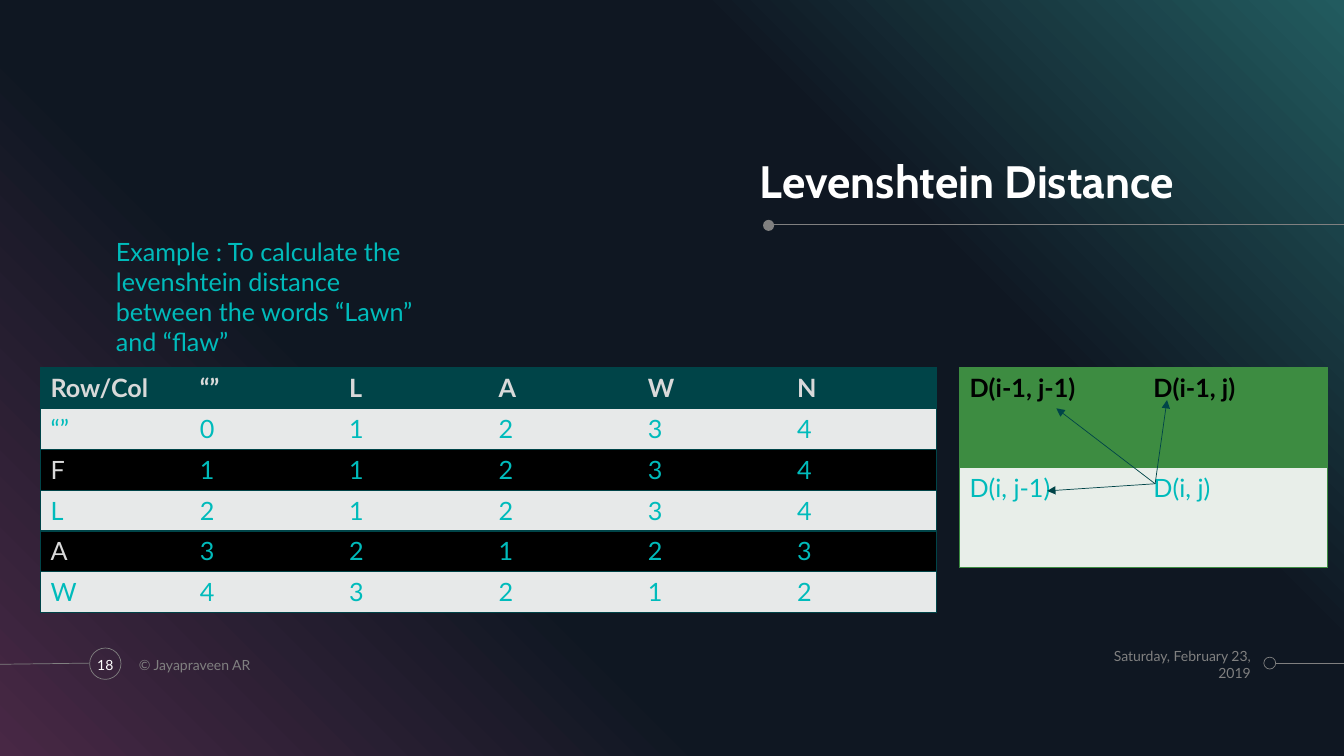
"""Builds a slide that explains the Levenshtein distance with a worked table."""
from lxml.etree import SubElement
from pptx import Presentation
from pptx.dml.color import RGBColor
from pptx.enum.shapes import MSO_CONNECTOR, MSO_SHAPE
from pptx.enum.text import MSO_ANCHOR, MSO_AUTO_SIZE, PP_ALIGN
from pptx.oxml.ns import qn
from pptx.util import Cm, Pt

BLACK = RGBColor(0x00, 0x00, 0x00)
WHITE = RGBColor(0xFF, 0xFF, 0xFF)
GREY = RGBColor(0x80, 0x80, 0x80)
LIGHT_GREY = RGBColor(0xD9, 0xD9, 0xD9)
PALE_GREY = RGBColor(0xE7, 0xE9, 0xE9)
PALE_GREEN = RGBColor(0xE8, 0xEE, 0xE9)
GREEN = RGBColor(0x3D, 0x8C, 0x41)
PETROL = RGBColor(0x00, 0x44, 0x48)
CYAN = RGBColor(0x00, 0xBB, 0xBB)
PURPLE = RGBColor(0x48, 0x28, 0x45)
NIGHT = RGBColor(0x0F, 0x17, 0x22)
TEAL = RGBColor(0x22, 0x5B, 0x5F)

BACKDROP_STOPS = [(0, PURPLE), (34, NIGHT), (69, NIGHT), (100, TEAL)]
PLAIN_TABLE_STYLE = "{2D5ABB26-0587-4C30-8999-92F81FD0307C}"
DISTANCES = [
    ["Row/Col", "“”", "L", "A", "W", "N"],
    ["“”", "0", "1", "2", "3", "4"],
    ["F", "1", "1", "2", "3", "4"],
    ["L", "2", "1", "2", "3", "4"],
    ["A", "3", "2", "1", "2", "3"],
    ["W", "4", "3", "2", "1", "2"],
]
NEIGHBOURS = [["D(i-1, j-1)", "D(i-1, j)"], ["D(i, j-1)", "D(i, j)"]]


def add_colour(parent, colour):
    """Append an RGB colour element to parent."""
    SubElement(parent, qn("a:srgbClr"), val=str(colour))


def write(paragraph, text, size, colour, bold=False, font="Lato"):
    """Add one formatted run to a paragraph."""
    run = paragraph.add_run()
    run.text = text
    run.font.name = font
    run.font.size = Pt(size)
    run.font.bold = bold
    run.font.color.rgb = colour


def clear_margins(frame):
    """Remove all insets of a text frame."""
    frame.margin_left = frame.margin_right = 0
    frame.margin_top = frame.margin_bottom = 0


def add_backdrop(slide, width, height):
    """Lay the diagonal gradient behind everything else."""
    slide.background.fill.solid()
    slide.background.fill.fore_color.rgb = BLACK
    backdrop = slide.shapes.add_shape(MSO_SHAPE.RECTANGLE, 0, 0, width, height)
    backdrop.shadow.inherit = False
    backdrop.line.fill.background()
    backdrop.fill.gradient()
    backdrop.fill.gradient_angle = 45
    stops = backdrop._element.spPr.find(qn("a:gradFill")).find(qn("a:gsLst"))
    for stop in list(stops):
        stops.remove(stop)
    for position, colour in BACKDROP_STOPS:
        add_colour(SubElement(stops, qn("a:gs"), pos=str(position * 1000)), colour)
    slide.shapes._spTree.insert(2, backdrop._element)


def add_title(slide, text):
    """Place and format the title placeholder."""
    title = slide.shapes.title
    title.left, title.top = Cm(19.15), Cm(3.02)
    title.width, title.height = Cm(12.47), Cm(2.24)
    frame = title.text_frame
    clear_margins(frame)
    frame.word_wrap = True
    frame.auto_size = MSO_AUTO_SIZE.NONE
    frame.vertical_anchor = MSO_ANCHOR.BOTTOM
    heading = frame.paragraphs[0]
    heading.alignment = PP_ALIGN.LEFT
    heading.line_spacing = 0.9
    write(heading, text, 32.4, WHITE, True, "Cabin")


def add_line(slide, start, end, colour=GREY, arrow=False):
    """Draw a thin straight line, with an arrowhead at its end on request."""
    line = slide.shapes.add_connector(
        MSO_CONNECTOR.STRAIGHT, Cm(start[0]), Cm(start[1]), Cm(end[0]), Cm(end[1]))
    line.line.color.rgb = colour
    line.line.width = Pt(0.5)
    if arrow:
        SubElement(line.line._get_or_add_ln(), qn("a:tailEnd"), type="triangle")
    SubElement(line._element.spPr, qn("a:effectLst"))


def add_circle(slide, left, top, diameter, filled=False):
    """Draw a grey dot or ring."""
    circle = slide.shapes.add_shape(
        MSO_SHAPE.OVAL, Cm(left), Cm(top), Cm(diameter), Cm(diameter))
    circle.shadow.inherit = False
    if filled:
        circle.fill.solid()
        circle.fill.fore_color.rgb = GREY
        circle.line.fill.background()
    else:
        circle.fill.background()
        circle.line.color.rgb = GREY
        circle.line.width = Pt(0.5)


def add_text(slide, place, text, size, colour, align=PP_ALIGN.LEFT):
    """Add a wrapped text box and return its frame."""
    frame = slide.shapes.add_textbox(*map(Cm, place)).text_frame
    frame.word_wrap = True
    frame.paragraphs[0].alignment = align
    write(frame.paragraphs[0], text, size, colour)
    return frame


def add_footer_text(slide, left, width, text, colour, align):
    """Add a footer text centred on the footer line."""
    frame = add_text(slide, (left, 16.33, width, 0.84), text, 10, colour, align)
    frame.vertical_anchor = MSO_ANCHOR.MIDDLE
    return frame


def set_borders(cell, sides, colour):
    """Draw one point borders on the given sides of a cell."""
    properties = cell._tc.get_or_add_tcPr()
    for side in sides:
        border = SubElement(properties, qn(f"a:ln{side}"), w=str(Pt(1)))
        add_colour(SubElement(border, qn("a:solidFill")), colour)


def add_grid(slide, place, rows, border, style):
    """Add a table; style(row, column) gives fill and text colour."""
    columns = len(rows[0])
    table = slide.shapes.add_table(len(rows), columns, *map(Cm, place)).table
    table._tbl.tblPr.find(qn("a:tableStyleId")).text = PLAIN_TABLE_STYLE
    for r, row in enumerate(rows):
        for c, text in enumerate(row):
            cell = table.cell(r, c)
            sides = ["L"] * (c == 0) + ["R"] * (c == columns - 1) + ["T", "B"]
            set_borders(cell, sides, border)
            fill, colour = style(r, c)
            cell.fill.solid()
            cell.fill.fore_color.rgb = fill
            write(cell.text_frame.paragraphs[0], text, 18, colour, r == 0)


def distance_style(row, column):
    """Give fill and text colour of a cell in the distance table."""
    if row == 0:
        return PETROL, LIGHT_GREY
    if row % 2:
        return PALE_GREY, CYAN
    return BLACK, CYAN if column else LIGHT_GREY


def neighbour_style(row, column):
    """Give fill and text colour of a cell in the neighbour table."""
    return (PALE_GREEN, CYAN) if row else (GREEN, BLACK)


def add_footer(slide):
    """Add the footer lines, rings and texts."""
    add_line(slide, (32.16, 16.71), (33.87, 16.71))
    add_circle(slide, 31.85, 16.56, 0.3)
    add_line(slide, (0, 16.74), (2.24, 16.71))
    add_circle(slide, 2.26, 16.33, 0.79)
    date = add_footer_text(
        slide, 27.81, 3.71, "Saturday, February 23, 2019", GREY, PP_ALIGN.RIGHT)
    clear_margins(date)
    add_footer_text(slide, 3.25, 8.1, "© Jayapraveen AR", GREY, PP_ALIGN.LEFT)
    add_footer_text(slide, 2.16, 0.99, "18", WHITE, PP_ALIGN.CENTER)


def main():
    """Build and save the slide."""
    deck = Presentation()
    deck.slide_width, deck.slide_height = Cm(33.87), Cm(19.05)
    slide = deck.slides.add_slide(deck.slide_layouts[5])
    add_backdrop(slide, deck.slide_width, deck.slide_height)
    add_line(slide, (33.87, 5.66), (19.46, 5.66))
    add_circle(slide, 19.23, 5.54, 0.28, filled=True)
    add_footer(slide)
    add_title(slide, "Levenshtein Distance")
    add_grid(slide, (24.18, 9.27, 9.27, 5.03), NEIGHBOURS, GREEN, neighbour_style)
    example = add_text(
        slide, (2.67, 5.82, 8.69, 2.57),
        "Example : To calculate the levenshtein distance between the words “Lawn” and “flaw”",
        18, CYAN)
    example.auto_size = MSO_AUTO_SIZE.SHAPE_TO_FIT_TEXT
    add_grid(slide, (1.02, 9.27, 22.58, 6.17), DISTANCES, PETROL, distance_style)
    for neighbour in [(26.62, 10.29), (29.41, 10.08), (26.39, 12.37)]:
        add_line(slide, (29.11, 12.19), neighbour, PETROL, arrow=True)
    deck.save("out.pptx")


if __name__ == "__main__":
    main()
